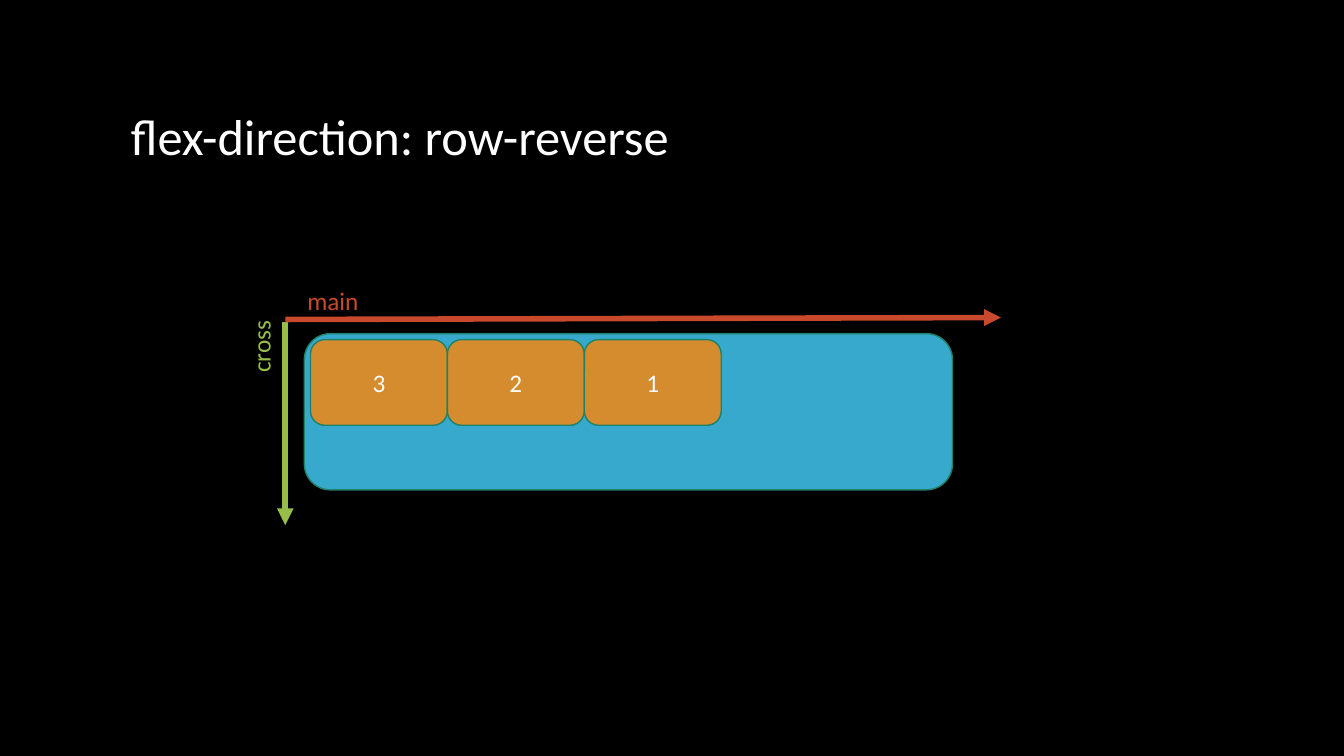
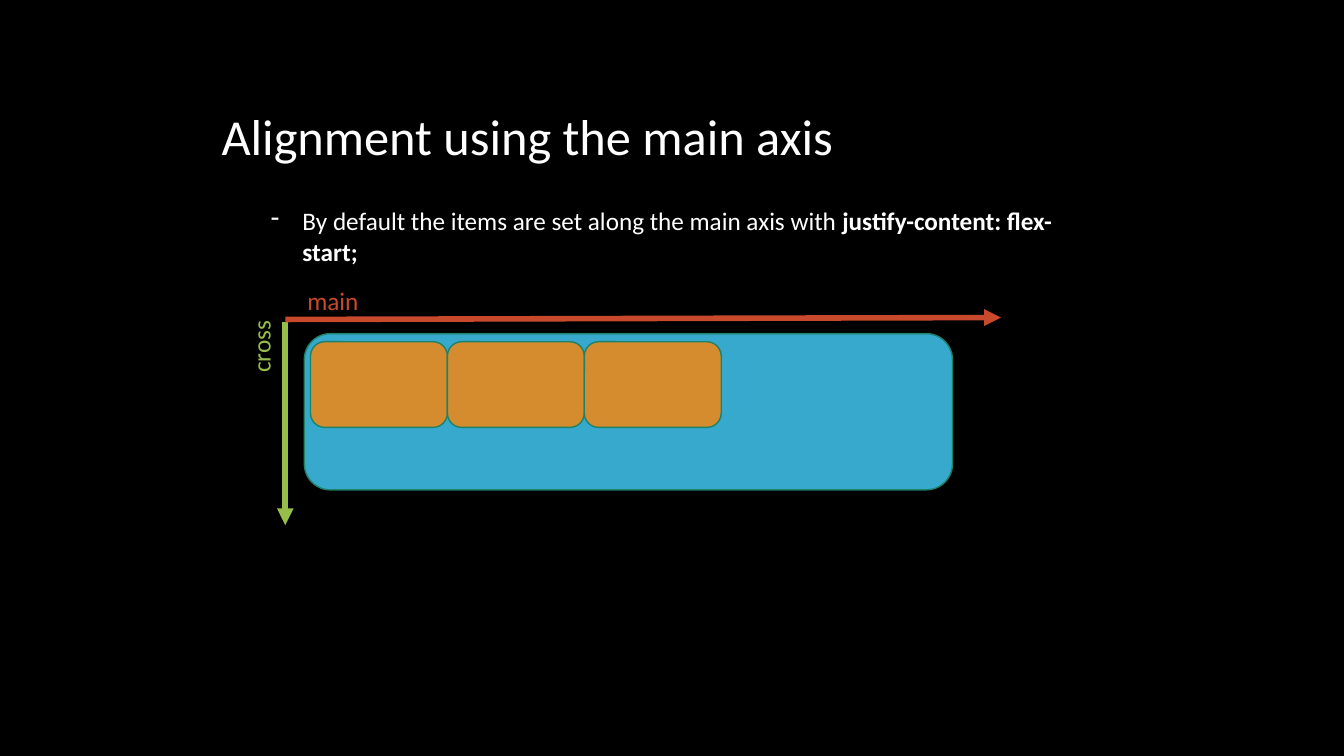
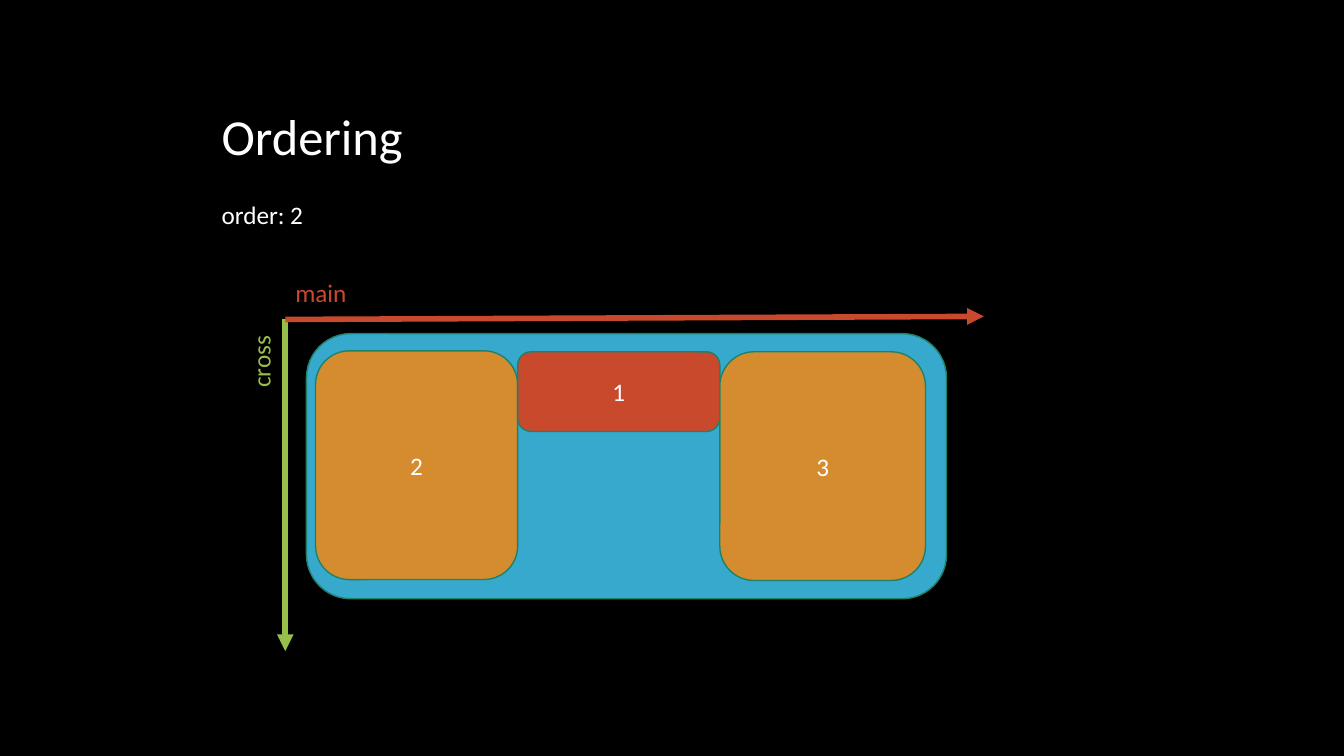
import dataclasses

import pptx
import pptx.dml.color
import pptx.enum.dml
import pptx.enum.shapes
import pptx.enum.text
import pptx.oxml.ns
import pptx.util
from lxml import etree

Pt = pptx.util.Pt
SHAPES = pptx.enum.shapes.MSO_SHAPE
ALIGN = pptx.enum.text.PP_ALIGN
rgb = pptx.dml.color.RGBColor.from_string
qn = pptx.oxml.ns.qn


@dataclasses.dataclass(frozen=True)
class Theme:
    font: str = "Calibri"
    title_size: float = 36
    body_size: float = 18
    background: str = "000000"
    text: str = "FFFFFF"
    container: str = "36A9CC"
    item: str = "D58C2E"
    outline: str = "1E8168"
    main: str = "C9492C"
    cross: str = "97BE49"
    outline_width: float = 1
    axis_width: float = 4


THEME = Theme()


@dataclasses.dataclass(frozen=True)
class Item:
    """One flex item; top is measured from the container's top edge."""
    label: str
    width: float
    height: float
    top: float
    fill: str = THEME.item


def set_font(p, size, color):
    p.font.name = THEME.font
    p.font.size = Pt(size)
    p.font.color.rgb = rgb(color)


def add_text(slide, box, runs, size=THEME.body_size, color=THEME.text,
             wrap=True, rotation=0):
    """Place one paragraph made of (text, bold) runs, and return it."""
    s = slide.shapes.add_textbox(*map(Pt, box))
    s.rotation = rotation
    tf = s.text_frame
    tf.word_wrap = wrap
    tf.auto_size = pptx.enum.text.MSO_AUTO_SIZE.SHAPE_TO_FIT_TEXT
    p = tf.paragraphs[0]
    set_font(p, size, color)
    for text, bold in runs:
        r = p.add_run()
        r.text = text
        if bold:
            r.font.bold = True
    return p


def add_dash_bullet(p, indent):
    props = p._p.get_or_add_pPr()
    props.set("marL", str(Pt(indent)))
    props.set("indent", str(-Pt(indent)))
    bullet = etree.Element(qn("a:buChar"), char="-")
    props.insert_element_before(bullet, "a:tabLst", "a:defRPr", "a:extLst")


def add_title_slide(prs, title, left, width):
    """Add a black slide with its title."""
    slide = prs.slides.add_slide(prs.slide_layouts[6])
    slide.background.fill.solid()
    slide.background.fill.fore_color.rgb = rgb(THEME.background)
    add_text(slide, (left, 71.3, width, 51), [(title, False)],
             THEME.title_size, wrap=False)
    return slide


def add_rounded(slide, box, fill, label=""):
    s = slide.shapes.add_shape(SHAPES.ROUNDED_RECTANGLE, *map(Pt, box))
    s.shadow.inherit = False
    s.fill.solid()
    s.fill.fore_color.rgb = rgb(fill)
    s.line.color.rgb = rgb(THEME.outline)
    s.line.width = Pt(THEME.outline_width)
    if label:
        tf = s.text_frame
        tf.vertical_anchor = pptx.enum.text.MSO_ANCHOR.MIDDLE
        p = tf.paragraphs[0]
        p.text = label
        p.alignment = ALIGN.CENTER
        set_font(p, THEME.body_size, THEME.text)


def add_flex_container(slide, box, inset, items):
    """Draw the container and pack its items from the left, after the inset."""
    add_rounded(slide, box, THEME.container)
    x = box[0] + inset
    for item in items:
        add_rounded(slide, (x, box[1] + item.top, item.width, item.height),
                    item.fill, item.label)
        x += item.width


def add_arrow(slide, start, end, color):
    line = slide.shapes.add_connector(
        pptx.enum.shapes.MSO_CONNECTOR.STRAIGHT, *map(Pt, start + end))
    line.line.color.rgb = rgb(color)
    line.line.width = Pt(THEME.axis_width)
    etree.SubElement(line.line._get_or_add_ln(), qn("a:tailEnd"),
                     type="triangle")
    etree.SubElement(line._element.spPr, qn("a:effectLst"))


def add_axes(slide, main_size, cross_size, cross_gap, main_label, cross_top):
    """Draw both axes; label places are offsets from where the axes meet.

    main_size is the (dx, dy) of the main axis, cross_size its cross
    counterpart's length, cross_gap the drop before the cross axis starts.
    """
    x, y = 203.8, 228.2
    label_size = (58.3, 28.8)
    top = y + cross_gap
    add_arrow(slide, (x, top), (x, top + cross_size), THEME.cross)
    add_arrow(slide, (x, y), (x + main_size[0], y + main_size[1]), THEME.main)
    add_text(slide, (x + main_label[0], y + main_label[1]) + label_size,
             [("main", False)], color=THEME.main)
    add_text(slide, (x - 46.8, y + cross_top) + label_size,
             [("cross", False)], color=THEME.cross, rotation=270)


def add_row_diagram(slide, labels, item_top):
    """Draw three equal items in a wide row, with the axes."""
    items = [Item(label, 97.8, 61.2, item_top) for label in labels]
    add_flex_container(slide, (217.4, 238.3, 463, 111.6), 4.4, items)
    add_axes(slide, (511.2, -1.4), 145.4, 1.5, (8.6, -28), 1.5)


def build_row_reverse(prs):
    slide = add_title_slide(prs, "flex-direction: row-reverse", 86.4, 403.2)
    add_row_diagram(slide, "321", 4.3)


def build_main_axis(prs):
    slide = add_title_slide(prs, "Alignment using the main axis", 151.2, 455.8)
    add_row_diagram(slide, [""] * 3, 5.8)
    p = add_text(slide, (186.5, 143.3, 594.7, 51), [
        ("By default the items are set along the main axis with ", False),
        ("justify-content: flex-start;", True)])
    add_dash_bullet(p, 22.5)


def build_ordering(prs):
    slide = add_title_slide(prs, "Ordering", 151.2, 145.4)
    add_flex_container(slide, (218.9, 238.3, 457.2, 189.4), 6.5, [
        Item("2", 144.4, 163.4, 12.3),
        Item("1", 144.4, 56.9, 13, THEME.main),
        Item("3", 146.9, 163.4, 13)])
    add_axes(slide, (499, -2.2), 236.9, 0, (0, -33.8), 12.3)
    add_text(slide, (151.2, 139, 73.4, 28.8), [("order: 2", False)],
             wrap=False)


def main():
    prs = pptx.Presentation()
    prs.slide_width, prs.slide_height = Pt(960), Pt(540)
    build_row_reverse(prs)
    build_main_axis(prs)
    build_ordering(prs)
    prs.save("out.pptx")


if __name__ == "__main__":
    main()
